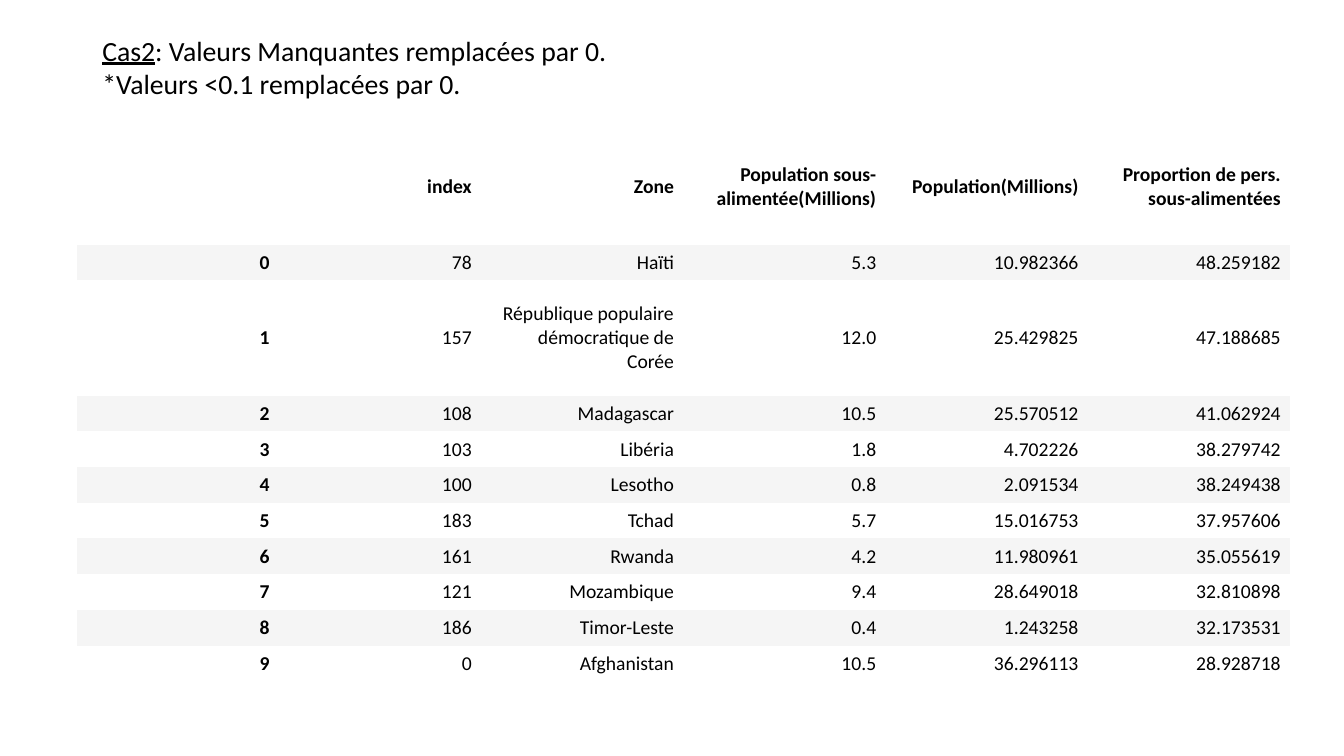
from typing import NamedTuple

from pptx import Presentation
from pptx import util as u
from pptx.dml.color import RGBColor
from pptx.enum import text
from pptx.oxml import ns
from pptx.table import _Cell as Cell
from pptx.text.text import Font

PX = 9525  # EMU per px, 96 px to the inch
FONT = "Calibri"
BLACK = RGBColor(0x00, 0x00, 0x00)
WHITE = RGBColor(0xFF, 0xFF, 0xFF)
BAND = RGBColor(0xF5, 0xF5, 0xF5)
NO_GRID_STYLE = "{2D5ABB26-0587-4C30-8999-92F81FD0307C}"

TABLE_LEFT, TABLE_TOP, TABLE_WIDTH = 73, 123, 1156
ROW_HEIGHT, TALL_ROW_HEIGHT = 34, 110
TALL_ROWS = (0, 2)
MARGIN_X, MARGIN_Y = 9, 4


class Country(NamedTuple):
    index: str
    zone: str
    undernourished: str
    population: str
    share: str


HEADINGS = Country("index", "Zone", "Population sous-alimentée(Millions)",
                   "Population(Millions)", "Proportion de pers. sous-alimentées")
COUNTRIES = [
    Country("78", "Haïti", "5.3", "10.982366", "48.259182"),
    Country("157", "République populaire démocratique de Corée", "12.0", "25.429825", "47.188685"),
    Country("108", "Madagascar", "10.5", "25.570512", "41.062924"),
    Country("103", "Libéria", "1.8", "4.702226", "38.279742"),
    Country("100", "Lesotho", "0.8", "2.091534", "38.249438"),
    Country("183", "Tchad", "5.7", "15.016753", "37.957606"),
    Country("161", "Rwanda", "4.2", "11.980961", "35.055619"),
    Country("121", "Mozambique", "9.4", "28.649018", "32.810898"),
    Country("186", "Timor-Leste", "0.4", "1.243258", "32.173531"),
    Country("0", "Afghanistan", "10.5", "36.296113", "28.928718"),
]


def px(length: int) -> u.Emu:
    return u.Emu(length * PX)


def style_font(font: Font, size: float, bold: bool = False) -> None:
    font.name, font.size, font.bold = FONT, u.Pt(size), bold
    font.color.rgb = BLACK


def fill_cell(cell: Cell, content: str, background: RGBColor, bold: bool) -> None:
    cell.fill.solid()
    cell.fill.fore_color.rgb = background
    cell.vertical_anchor = text.MSO_ANCHOR.MIDDLE
    cell.margin_left = cell.margin_right = px(MARGIN_X)
    cell.margin_top = cell.margin_bottom = px(MARGIN_Y)
    cell.text_frame.text = content
    paragraph = cell.text_frame.paragraphs[0]
    paragraph.alignment = text.PP_ALIGN.RIGHT
    for run in paragraph.runs:
        style_font(run.font, 14, bold)


presentation = Presentation()
presentation.slide_width, presentation.slide_height = px(1280), px(720)
slide = presentation.slides.add_slide(presentation.slide_layouts[6])

# Title: underlined case name, then the two replacement rules
title = slide.shapes.add_textbox(px(88), px(38), px(1104), px(51)).text_frame
title.word_wrap = True
title.vertical_anchor = text.MSO_ANCHOR.MIDDLE
title.text = "Cas2"
heading = title.paragraphs[0]
heading.add_run().text = ": Valeurs Manquantes remplacées par 0."
heading.add_line_break()
heading.add_run().text = "*Valeurs <0.1 remplacées par 0."
for part in heading.runs:
    style_font(part.font, 19.8)
heading.runs[0].font.underline = True

# Ranking table: numbered countries under one row of headings
rows = [("", *HEADINGS)]
rows += [(str(rank), *country) for rank, country in enumerate(COUNTRIES)]
heights = [TALL_ROW_HEIGHT if r in TALL_ROWS else ROW_HEIGHT for r in range(len(rows))]
frame = slide.shapes.add_table(len(rows), len(rows[0]), px(TABLE_LEFT), px(TABLE_TOP),
                               px(TABLE_WIDTH), px(sum(heights)))
next(frame.element.iter(ns.qn("a:tableStyleId"))).text = NO_GRID_STYLE
ranking = frame.table
ranking.first_row = ranking.horz_banding = False

for r, (row, height) in enumerate(zip(rows, heights)):
    ranking.rows[r].height = px(height)
    for c, content in enumerate(row):
        fill_cell(ranking.cell(r, c), content, BAND if r % 2 else WHITE, r == 0 or c == 0)

presentation.save("out.pptx")
